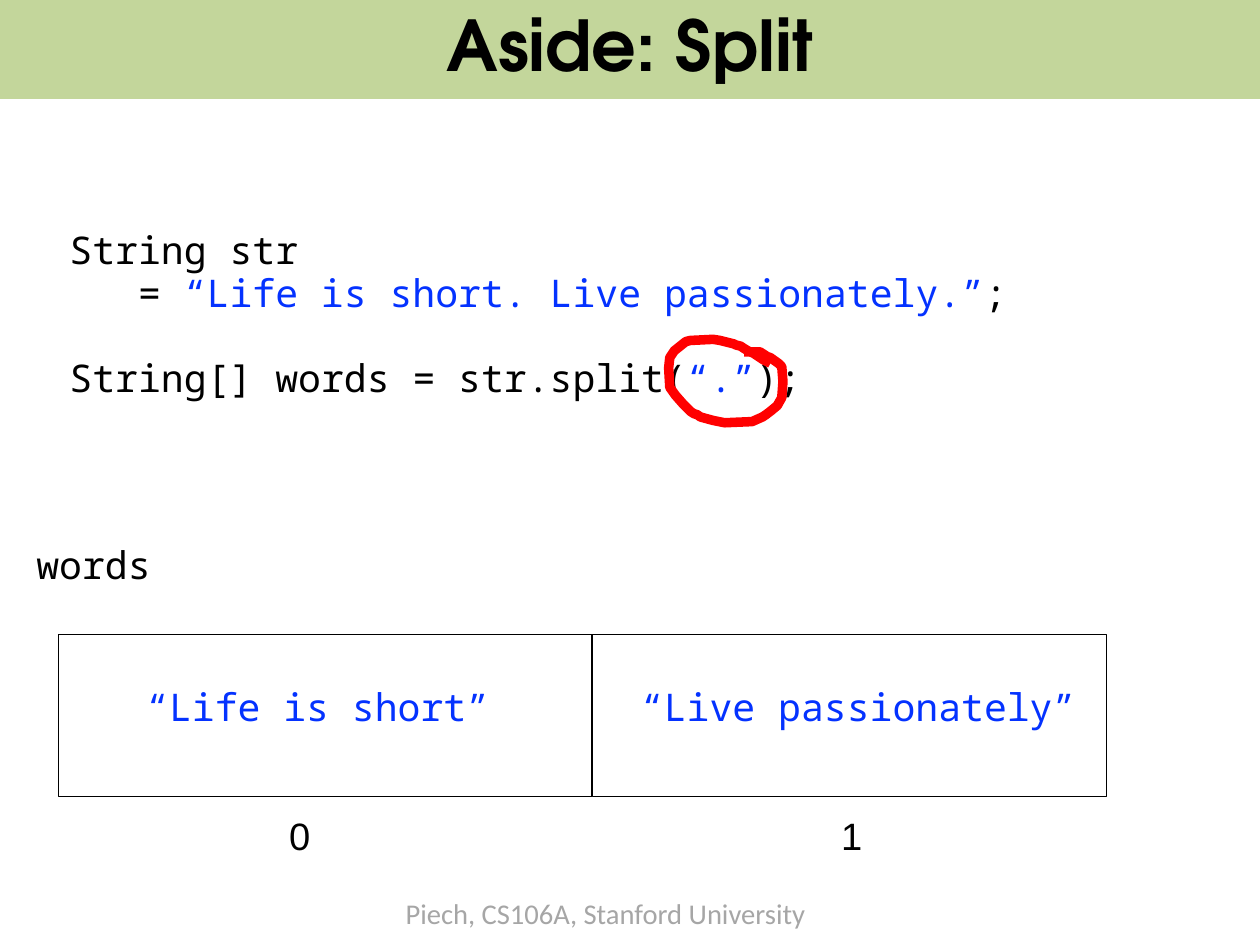
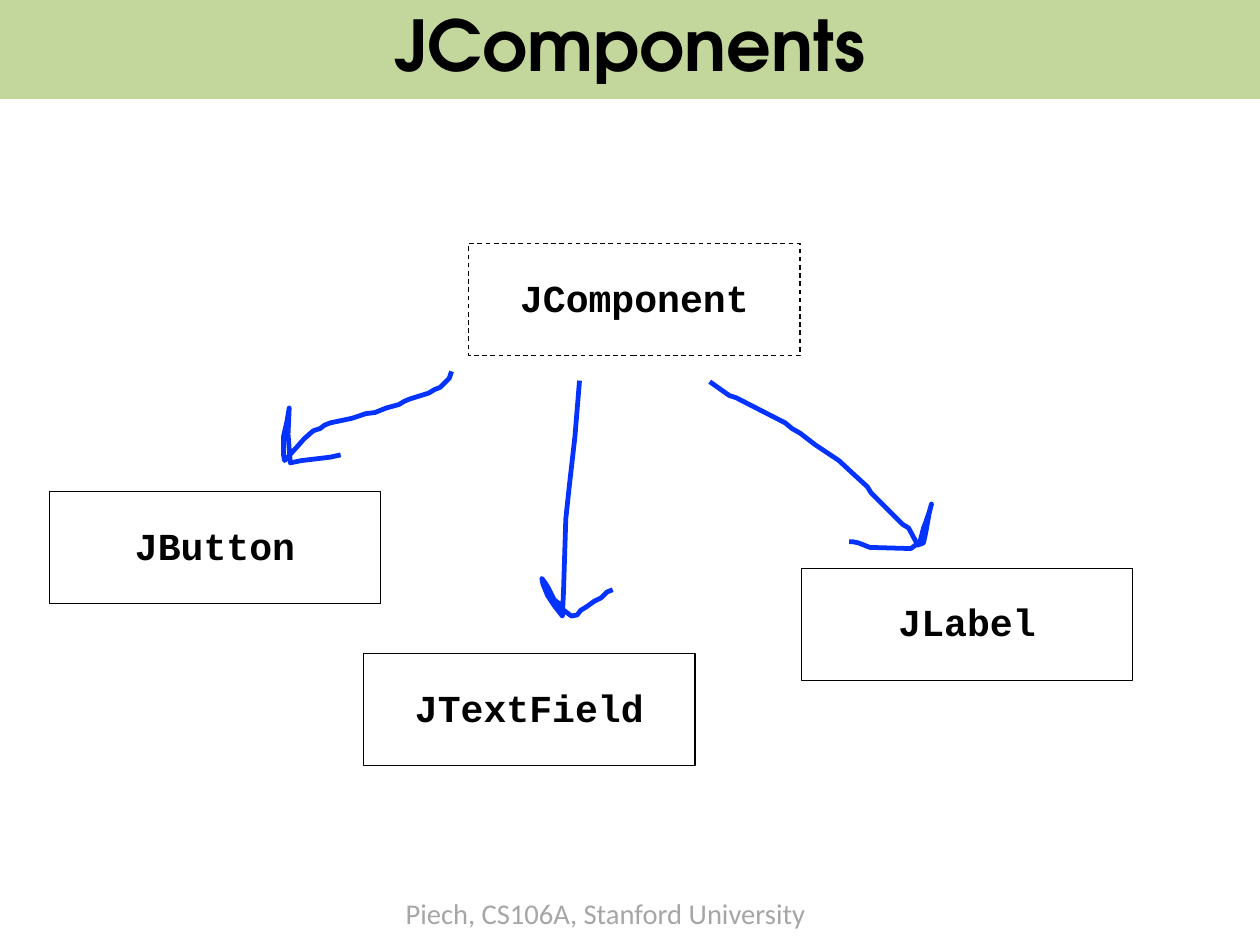
from pptx import Presentation
from pptx.dml.color import RGBColor
from pptx.enum.dml import MSO_LINE
from pptx.enum.shapes import MSO_SHAPE
from pptx.enum.text import MSO_ANCHOR, MSO_AUTO_SIZE, PP_ALIGN
from pptx.util import Pt

RECTANGLE = MSO_SHAPE.RECTANGLE
DASH = MSO_LINE.DASH
MIDDLE = MSO_ANCHOR.MIDDLE
NO_FIT = MSO_AUTO_SIZE.NONE
GROW = MSO_AUTO_SIZE.SHAPE_TO_FIT_TEXT
CENTER = PP_ALIGN.CENTER
LEFT = PP_ALIGN.LEFT

SLIDE_WIDTH, SLIDE_HEIGHT = 793.7, 595.3
TITLE_BOX = (0, -2.2, SLIDE_WIDTH, 64.6)
FOOTER_BOX = (248.4, 563, 269.3, 27.4)
LABEL_HEIGHT = 34.6
LINE_SPACING = 0.93
STROKE_UNIT = Pt(0.72)

BLACK, WHITE, BLUE, RED = "000000", "FFFFFF", "0432FF", "FF0000"
GREEN, GRAY = "C3D69B", "A6A6A6"

TITLE_FONT = {"name": "TeX Gyre Adventor", "size": Pt(44.1), "bold": True}
FOOTER_FONT = {"name": "Calibri", "size": Pt(18)}
CODE_FONT = {"name": "Noto Sans Mono", "size": Pt(24)}
INDEX_FONT = {"name": "Arial", "size": Pt(24)}
CLASS_FONT = {"name": "Courier New", "size": Pt(24), "bold": True}

CODE_LINES = [
    [("String str", BLACK)],
    [("   = ", BLACK), ("“Life is short. Live passionately.”", BLUE), (";", BLACK)],
    [("String[] words = str.split(", BLACK), ("“.”", BLUE), (");", BLACK)],
]

# Stroke points count in STROKE_UNIT from the stroke's own corner.
CIRCLE = [
    (90, 21), (86, 19), (84, 18), (78, 14), (75, 12), (72, 11), (67, 8), (64, 6),
    (60, 5), (58, 4), (50, 2), (46, 1), (40, 0), (20, 1), (16, 2), (11, 6), (6, 10),
    (2, 16), (1, 25), (2, 42), (7, 49), (14, 57), (20, 63), (23, 65), (26, 66),
    (29, 68), (40, 71), (50, 73), (74, 72), (83, 68), (86, 66), (90, 63), (96, 58),
    (100, 51), (101, 37), (100, 24), (97, 21), (90, 16), (87, 15), (81, 11), (67, 11),
]
ARROW_TO_BUTTON = [
    (147, 0), (145, 6), (137, 14), (132, 16), (127, 19), (111, 24), (106, 26),
    (101, 29), (90, 32), (80, 36), (72, 37), (60, 41), (41, 45), (36, 47), (32, 50),
    (26, 52), (18, 59), (11, 67), (1, 78), (0, 73), (0, 57), (3, 44), (5, 32),
    (4, 55), (6, 80), (16, 78), (41, 75), (50, 73),
]
ARROW_TO_TEXT_FIELD = [
    (33, 0), (29, 49), (24, 93), (21, 121), (19, 185), (18, 206), (11, 197), (5, 188),
    (1, 178), (0, 173), (3, 177), (6, 182), (11, 192), (15, 195), (18, 200), (26, 206),
    (31, 205), (34, 201), (39, 198), (46, 193), (52, 190), (57, 185), (62, 183),
]
ARROW_TO_LABEL = [
    (0, 0), (17, 12), (23, 14), (66, 36), (72, 41), (79, 45), (92, 55), (113, 69),
    (127, 82), (138, 92), (141, 97), (148, 104), (164, 120), (169, 125), (174, 128),
    (182, 143), (187, 141), (189, 132), (192, 115), (194, 107), (192, 114), (189, 123),
    (187, 128), (184, 140), (176, 146), (140, 145), (130, 141), (125, 140), (122, 140),
]


def color(hex_string):
    return RGBColor.from_string(hex_string)


def set_values(target, values):
    for name, value in values.items():
        setattr(target, name, value)


def points(box):
    return [Pt(length) for length in box]


def write_paragraph(paragraph, runs, font, alignment=LEFT):
    """Fill a paragraph with (text, colour) runs in one font."""
    set_values(paragraph, {"alignment": alignment, "line_spacing": LINE_SPACING})
    for text, text_color in runs:
        run = paragraph.add_run()
        run.text = text
        set_values(run.font, font)
        run.font.color.rgb = color(text_color)


def add_label(slide, box, text, font, text_color=BLACK):
    frame = slide.shapes.add_textbox(*points(box)).text_frame
    set_values(frame, {"word_wrap": False, "auto_size": GROW})
    write_paragraph(frame.paragraphs[0], [(text, text_color)], font)


def add_box(slide, box):
    """Add a white rectangle with a thin black outline."""
    shape = slide.shapes.add_shape(RECTANGLE, *points(box))
    shape.shadow.inherit = False
    shape.fill.solid()
    shape.fill.fore_color.rgb = color(WHITE)
    shape.line.color.rgb = color(BLACK)
    shape.line.width = Pt(0.75)
    return shape


def add_stroke(slide, left, top, stroke, line_color, width):
    """Draw an open hand-drawn line whose corner is at left, top."""
    builder = slide.shapes.build_freeform(*stroke[0], scale=STROKE_UNIT)
    builder.add_line_segments(stroke[1:], close=False)
    shape = builder.convert_to_shape(Pt(left), Pt(top))
    shape.shadow.inherit = False
    shape.fill.background()
    shape.line.color.rgb = color(line_color)
    shape.line.width = Pt(width)


def add_titled_slide(presentation, title_text):
    """Add a slide with the shared title band and footer."""
    slide = presentation.slides.add_slide(presentation.slide_layouts[5])
    title = slide.shapes.title
    set_values(title, dict(zip(("left", "top", "width", "height"), points(TITLE_BOX))))
    title.fill.solid()
    title.fill.fore_color.rgb = color(GREEN)
    frame = title.text_frame
    set_values(frame, {
        "word_wrap": True, "auto_size": NO_FIT, "vertical_anchor": MIDDLE,
        "margin_left": Pt(7.9), "margin_right": Pt(7.9),
        "margin_top": Pt(4.3), "margin_bottom": Pt(4.3),
    })
    write_paragraph(frame.paragraphs[0], [(title_text, BLACK)], TITLE_FONT, CENTER)
    add_label(slide, FOOTER_BOX, "Piech, CS106A, Stanford University", FOOTER_FONT, GRAY)
    return slide


def add_code(slide, left, top, width, height):
    frame = slide.shapes.add_textbox(*points((left, top, width, height))).text_frame
    set_values(frame, {"word_wrap": True, "auto_size": NO_FIT})
    for number, runs in enumerate(CODE_LINES):
        paragraph = frame.add_paragraph() if number else frame.paragraphs[0]
        write_paragraph(paragraph, runs, CODE_FONT)
    paragraph.space_before = Pt(26.7)
    add_stroke(slide, left + 383.8, top + 72, CIRCLE, RED, 6)


def add_word_array(slide, left, top, height):
    """Draw the array cells with their name, values and indexes."""
    add_label(slide, (left - 20.9, top - 59.8, 87.1, LABEL_HEIGHT), "words", CODE_FONT)
    cells = [
        (0, 336.3, "“Life is short”", 48.3, 232.6, 138.3),
        (336.3, 324, "“Live passionately”", 360, 290.2, 486),
    ]
    for index, cell in enumerate(cells):
        cell_left, cell_width, value, value_left, value_width, index_left = cell
        add_box(slide, (left + cell_left, top, cell_width, height))
        add_label(slide, (left + value_left, top + 30.2, value_width, LABEL_HEIGHT),
                  value, CODE_FONT, BLUE)
        add_label(slide, (left + index_left, top + height + 8.7, 28.1, LABEL_HEIGHT),
                  str(index), INDEX_FONT)


def add_class_tree(slide, left, top):
    """Place the class boxes and the arrows from parent to children."""
    classes = [
        ("JComponent", 264.2, 0),
        ("JButton", 0, 156.2),
        ("JTextField", 198, 258.5),
        ("JLabel", 473.8, 204.5),
    ]
    for name, offset_x, offset_y in classes:
        shape = add_box(slide, (left + offset_x, top + offset_y, 208.8, 70.6))
        frame = shape.text_frame
        set_values(frame, {"word_wrap": False, "vertical_anchor": MIDDLE})
        write_paragraph(frame.paragraphs[0], [(name, BLACK)], CLASS_FONT, CENTER)
        if name == "JComponent":
            shape.line.dash_style = DASH
    arrows = [
        (ARROW_TO_BUTTON, 147.6, 80.6),
        (ARROW_TO_TEXT_FIELD, 310.3, 86.4),
        (ARROW_TO_LABEL, 416.1, 87.1),
    ]
    for stroke, offset_x, offset_y in arrows:
        add_stroke(slide, left + offset_x, top + offset_y, stroke, BLUE, 3)


def main():
    presentation = Presentation()
    set_values(presentation, {"slide_width": Pt(SLIDE_WIDTH),
                              "slide_height": Pt(SLIDE_HEIGHT)})
    split_slide = add_titled_slide(presentation, "Aside: Split")
    add_code(split_slide, 36.7, 141.8, 740, 115.2)
    add_word_array(split_slide, 36.7, 399.6, 102.2)
    components_slide = add_titled_slide(presentation, "JComponents")
    add_class_tree(components_slide, 31, 153.4)
    presentation.save("out.pptx")


if __name__ == "__main__":
    main()
